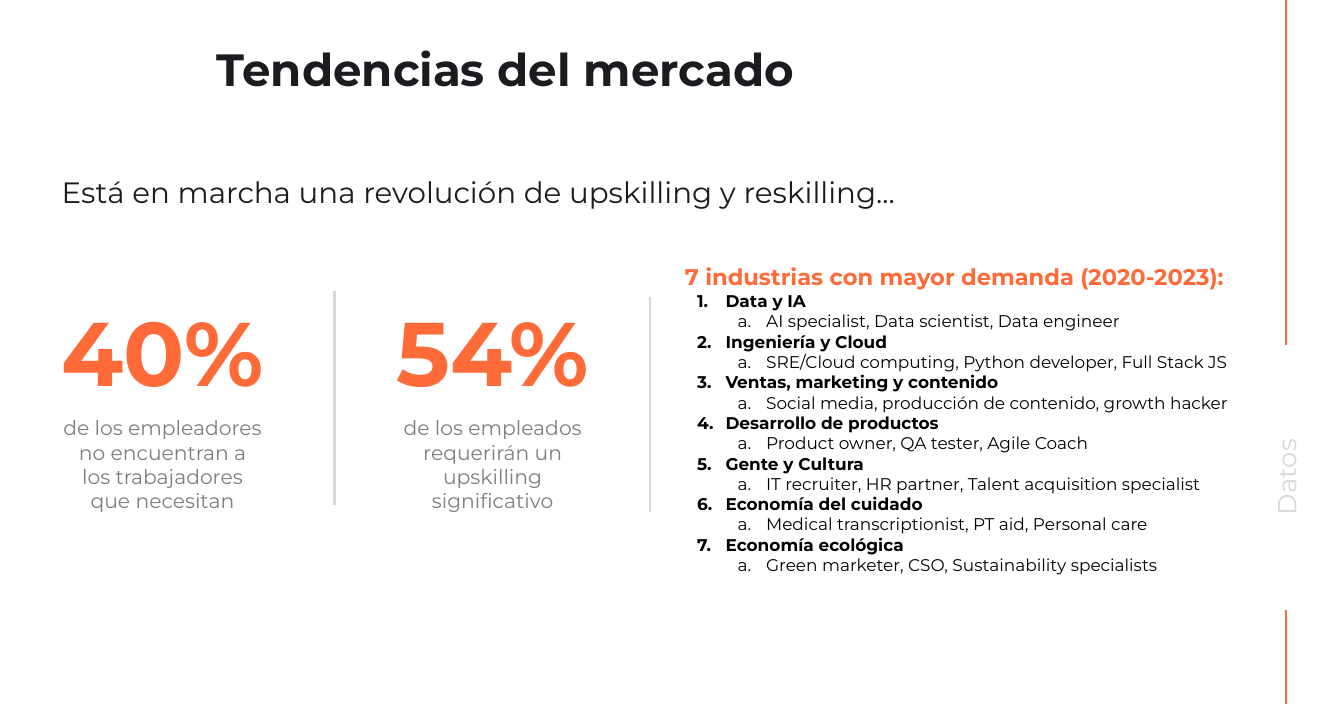
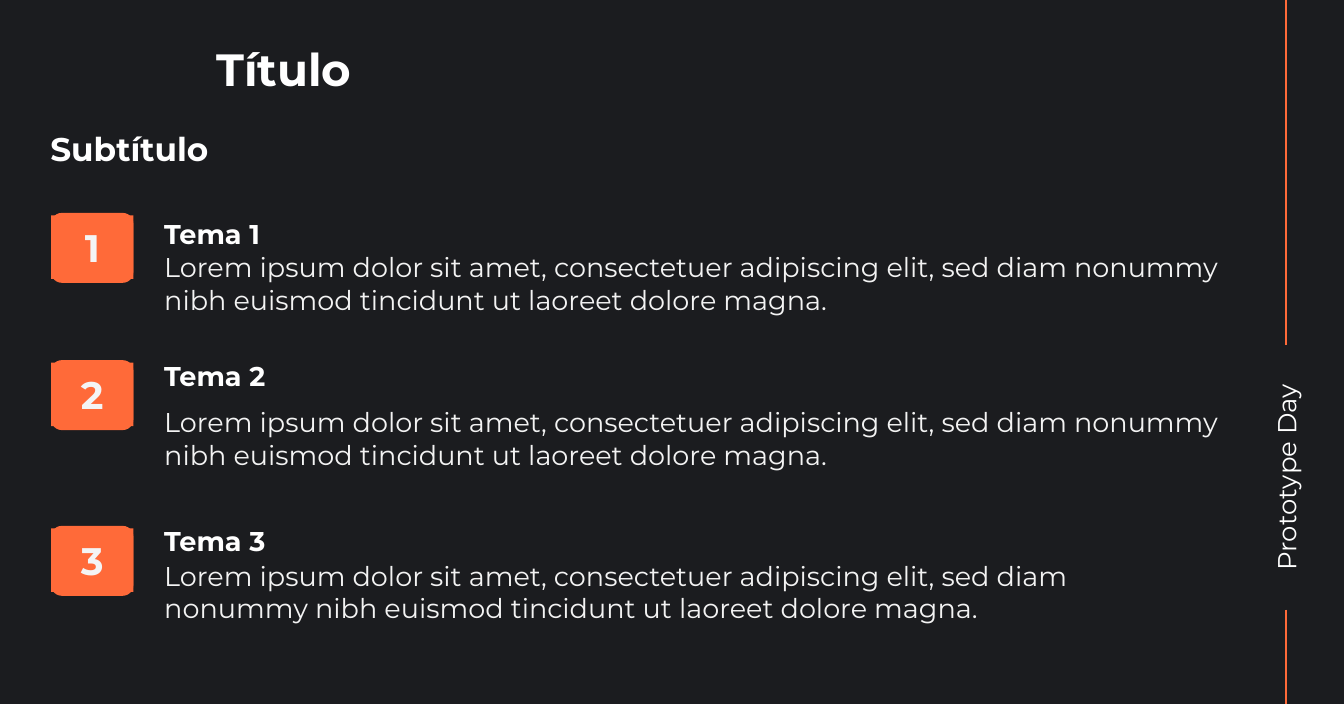
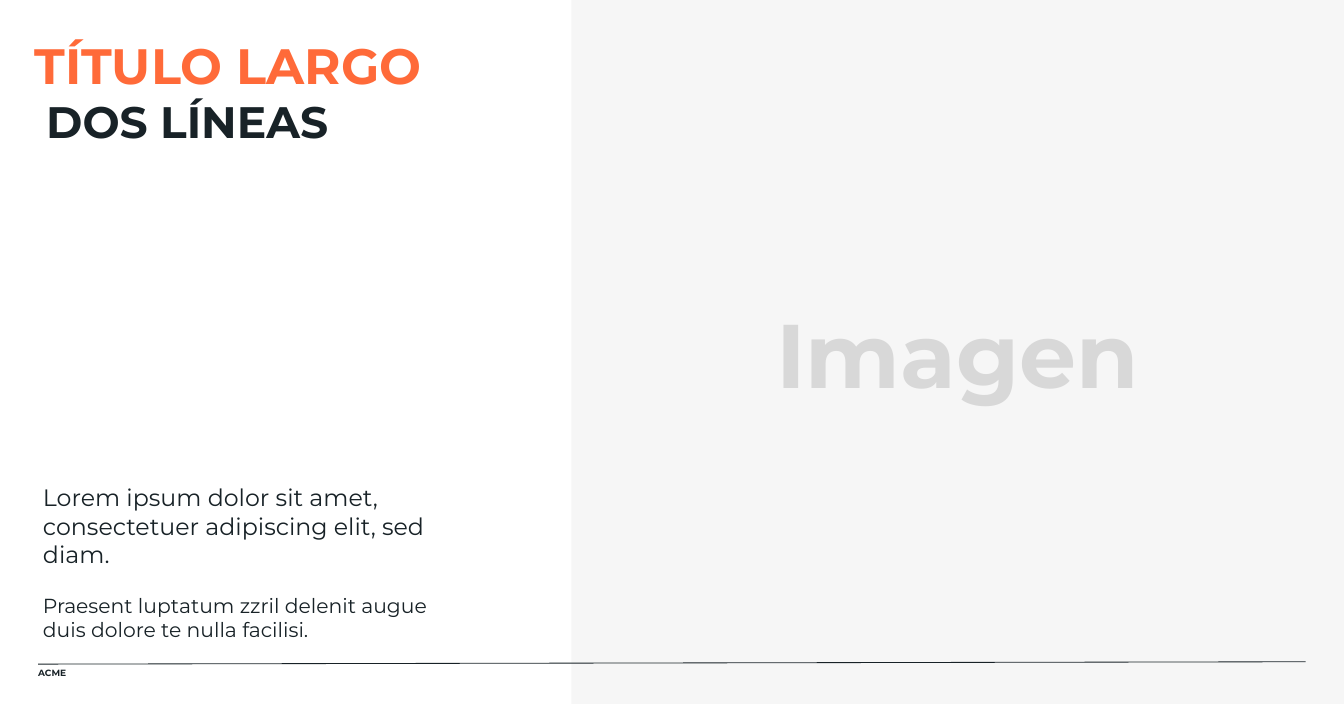
from lxml import etree
from pptx import Presentation
from pptx.dml.color import RGBColor
from pptx.enum import shapes, text
from pptx.oxml import ns
from pptx.util import Pt

ORANGE = RGBColor(0xFF, 0x6A, 0x39)
INK = RGBColor(0x1B, 0x1C, 0x1F)
SLATE = RGBColor(0x18, 0x22, 0x27)
WHITE = RGBColor(0xFF, 0xFF, 0xFF)
BLACK = RGBColor(0, 0, 0)
GREY = RGBColor(0x7F, 0x7F, 0x7F)
SILVER = RGBColor(0xD8, 0xD8, 0xD8)
PANEL = RGBColor(0xF6, 0xF6, 0xF6)
MIST = RGBColor(0xF3, 0xF3, 0xF3)
DIGIT = RGBColor(0xF4, 0xF4, 0xF5)

FONT = "Montserrat"
WIDTH, HEIGHT = 1190.88, 623.52
PADDING = 11.5
RAIL_X = 1139.76

LEFT, CENTER = text.PP_ALIGN.LEFT, text.PP_ALIGN.CENTER
TOP, MIDDLE = text.MSO_ANCHOR.TOP, text.MSO_ANCHOR.MIDDLE
RECTANGLE = shapes.MSO_SHAPE.RECTANGLE
ROUNDED = shapes.MSO_SHAPE.ROUNDED_RECTANGLE

INDUSTRIES = [
    ("Data y IA", "AI specialist, Data scientist, Data engineer"),
    ("Ingeniería y Cloud", "SRE/Cloud computing, Python developer, Full Stack JS"),
    ("Ventas, marketing y contenido", "Social media, producción de contenido, growth hacker"),
    ("Desarrollo de productos", "Product owner, QA tester, Agile Coach"),
    ("Gente y Cultura", "IT recruiter, HR partner, Talent acquisition specialist"),
    ("Economía del cuidado", "Medical transcriptionist, PT aid, Personal care"),
    ("Economía ecológica", "Green marketer, CSO, Sustainability specialists"),
]
STATS = [
    (144, "40%", "de los empleadores no encuentran a los trabajadores que necesitan"),
    (436.5, "54%", "de los empleados requerirán un upskilling significativo"),
]
TOPICS = [
    (188.6, 188.6, 222.5, 970.6, 56.2),
    (319, 313.9, 360, 941.8, 56.2),
    (465.8, 460.1, 489.6, 910.1, 68.4),
]
LOREM = ("Lorem ipsum dolor sit amet, consectetuer adipiscing elit, sed diam nonummy "
         "nibh euismod tincidunt ut laoreet dolore magna.")


class Deck:
    def __init__(self):
        self.presentation = Presentation()
        self.presentation.slide_width = Pt(WIDTH)
        self.presentation.slide_height = Pt(HEIGHT)
        self.page = None

    def new_page(self, background):
        self.page = self.presentation.slides.add_slide(self.presentation.slide_layouts[5])
        fill = self.page.background.fill
        fill.solid()
        fill.fore_color.rgb = background

    def frame(self, box, anchor=TOP, padding=PADDING):
        frame = box.text_frame
        frame.auto_size = text.MSO_AUTO_SIZE.NONE
        frame.word_wrap = True
        frame.vertical_anchor = anchor
        frame.margin_left = frame.margin_right = Pt(padding)
        frame.margin_top = frame.margin_bottom = Pt(padding)
        return frame

    def add_span(self, para, words, size, color, bold=False, align=LEFT):
        para.alignment = align
        span = para.add_run()
        span.text = words
        span.font.name = FONT
        span.font.size = Pt(size)
        span.font.bold = bold
        span.font.color.rgb = color

    def title_frame(self, left, top, width, height, anchor=MIDDLE, padding=PADDING):
        box = self.page.shapes.title
        box.left, box.top, box.width, box.height = map(Pt, (left, top, width, height))
        return self.frame(box, anchor, padding)

    def title(self, words, color):
        frame = self.title_frame(180.7, 32.4, 725.8, 56.2)
        self.add_span(frame.paragraphs[0], words, 40, color, True)

    def textbox(self, left, top, width, height, anchor=TOP, padding=PADDING):
        box = self.page.shapes.add_textbox(*map(Pt, (left, top, width, height)))
        return box, self.frame(box, anchor, padding)

    def label(self, place, words, size, color, bold=False, align=LEFT, anchor=TOP,
              padding=PADDING):
        box, frame = self.textbox(*place, anchor, padding)
        self.add_span(frame.paragraphs[0], words, size, color, bold, align)
        return box

    def block(self, kind, left, top, width, height, color):
        box = self.page.shapes.add_shape(kind, *map(Pt, (left, top, width, height)))
        box.shadow.inherit = False
        box.fill.solid()
        box.fill.fore_color.rgb = color
        box.line.fill.background()
        return box

    def line(self, x1, y1, x2, y2, color, weight):
        connector = self.page.shapes.add_connector(
            shapes.MSO_CONNECTOR.STRAIGHT, *map(Pt, (x1, y1, x2, y2)))
        connector.line.color.rgb = color
        connector.line.width = Pt(weight)
        etree.SubElement(connector._element.spPr, ns.qn("a:effectLst"))

    def rail(self, words, color):
        self.line(RAIL_X, 0, RAIL_X, 305.3, ORANGE, 1.5)
        self.line(RAIL_X, 540, RAIL_X, HEIGHT, ORANGE, 1.5)
        box = self.label((1021.7, 396.7, 236.9, 51.8), words, 23, color, align=CENTER)
        box.rotation = 270

    def numbered(self, para, level, scheme):
        para.level = level
        properties = para._p.get_or_add_pPr()
        properties.set("marL", str(Pt(36 * (level + 1))))
        properties.set("indent", str(Pt(-25.2)))
        bullet_color = etree.SubElement(properties, ns.qn("a:buClr"))
        etree.SubElement(bullet_color, ns.qn("a:srgbClr")).set("val", str(BLACK))
        etree.SubElement(properties, ns.qn("a:buFont")).set("typeface", FONT)
        etree.SubElement(properties, ns.qn("a:buAutoNum")).set("type", scheme)

    def stat(self, middle, value, caption):
        self.label((middle - 126.35, 203.8, 252.7, 213.1), value, 80, ORANGE, True,
                   CENTER, MIDDLE)
        self.label((middle - 100.5, 356.4, 201, 150.5), caption, 18, GREY, align=CENTER)

    def tile(self, top, number):
        self.block(ROUNDED, 45.4, top, 72.7, 61.9, ORANGE).adjustments[0] = 0.15
        face = self.block(RECTANGLE, 45.4, top + 2.2, 72.7, 56.2, ORANGE)
        frame = self.frame(face, MIDDLE, 2)
        self.add_span(frame.paragraphs[0], number, 34, DIGIT, True, CENTER)


def build_trends(deck):
    deck.new_page(WHITE)
    deck.title("Tendencias del mercado", INK)
    deck.rail("Datos", SILVER)
    for stat in STATS:
        deck.stat(*stat)
    for x, top in ((296.6, 257.8), (576, 263.5)):
        deck.line(x, top, x, top + 189.7, SILVER, 2.25)
    deck.label((43.2, 142.6, 1018, 136.8),
               "Está en marcha una revolución de upskilling y reskilling...", 26, INK)
    box, frame = deck.textbox(599.8, 226.1, 501.8, 293, padding=7.2)
    deck.add_span(frame.paragraphs[0], "7 industrias con mayor demanda (2020-2023):",
                  20, ORANGE, True)
    for industry, roles in INDUSTRIES:
        for level, words, scheme in ((0, industry, "arabicPeriod"), (1, roles, "alphaLcPeriod")):
            para = frame.add_paragraph()
            deck.numbered(para, level, scheme)
            deck.add_span(para, words, 15, BLACK, level == 0)


def build_topics(deck):
    deck.new_page(INK)
    deck.title("Título", WHITE)
    deck.rail("Prototype Day", WHITE)
    deck.label((33.1, 103.7, 1123.9, 56.2), "Subtítulo", 29, WHITE, True, anchor=MIDDLE)
    for number, (tile_top, head_top, body_top, width, height) in enumerate(TOPICS, 1):
        deck.tile(tile_top, str(number))
        deck.label((143.5, head_top, 272.2, 36.7), f"Tema {number}", 24, WHITE, True,
                   anchor=MIDDLE, padding=2)
        deck.label((143.5, body_top, width, height), LOREM, 24, MIST,
                   anchor=MIDDLE, padding=2)


def build_image_page(deck):
    deck.new_page(WHITE)
    panel = deck.block(RECTANGLE, 506.2, 0, WIDTH - 506.2, HEIGHT, PANEL)
    deck.add_span(deck.frame(panel, MIDDLE).paragraphs[0], "Imagen", 80, SILVER, True, CENTER)

    frame = deck.title_frame(26.6, 16.6, 611.3, 120.2, TOP, 4.3)
    frame.margin_top = Pt(20.4)
    first, second = frame.paragraphs[0], frame.add_paragraph()
    deck.add_span(first, "TÍTULO LARGO", 44, ORANGE, True)
    deck.add_span(second, "DOS LÍNEAS", 39, SLATE, True)
    first.line_spacing = second.line_spacing = 0.9
    second.space_before = Pt(4.8)
    second._p.get_or_add_pPr().set("marL", str(Pt(10)))

    box, frame = deck.textbox(26.6, 416.2, 376.6, 166.3)
    deck.add_span(frame.paragraphs[0],
                  "Lorem ipsum dolor sit amet, consectetuer adipiscing elit, sed diam.", 21, SLATE)
    closing = frame.add_paragraph()
    closing.space_before = Pt(22)
    deck.add_span(closing, "Praesent luptatum zzril delenit augue duis dolore te nulla facilisi.",
                  18, SLATE)
    deck.label((33.8, 591.1, 55.4, 11.5), "ACME", 8, SLATE, True, padding=0)
    deck.line(1157, 586.1, 33.8, 588.2, SLATE, 0.75)


def main():
    deck = Deck()
    build_trends(deck)
    build_topics(deck)
    build_image_page(deck)
    deck.presentation.save("out.pptx")


if __name__ == "__main__":
    main()
